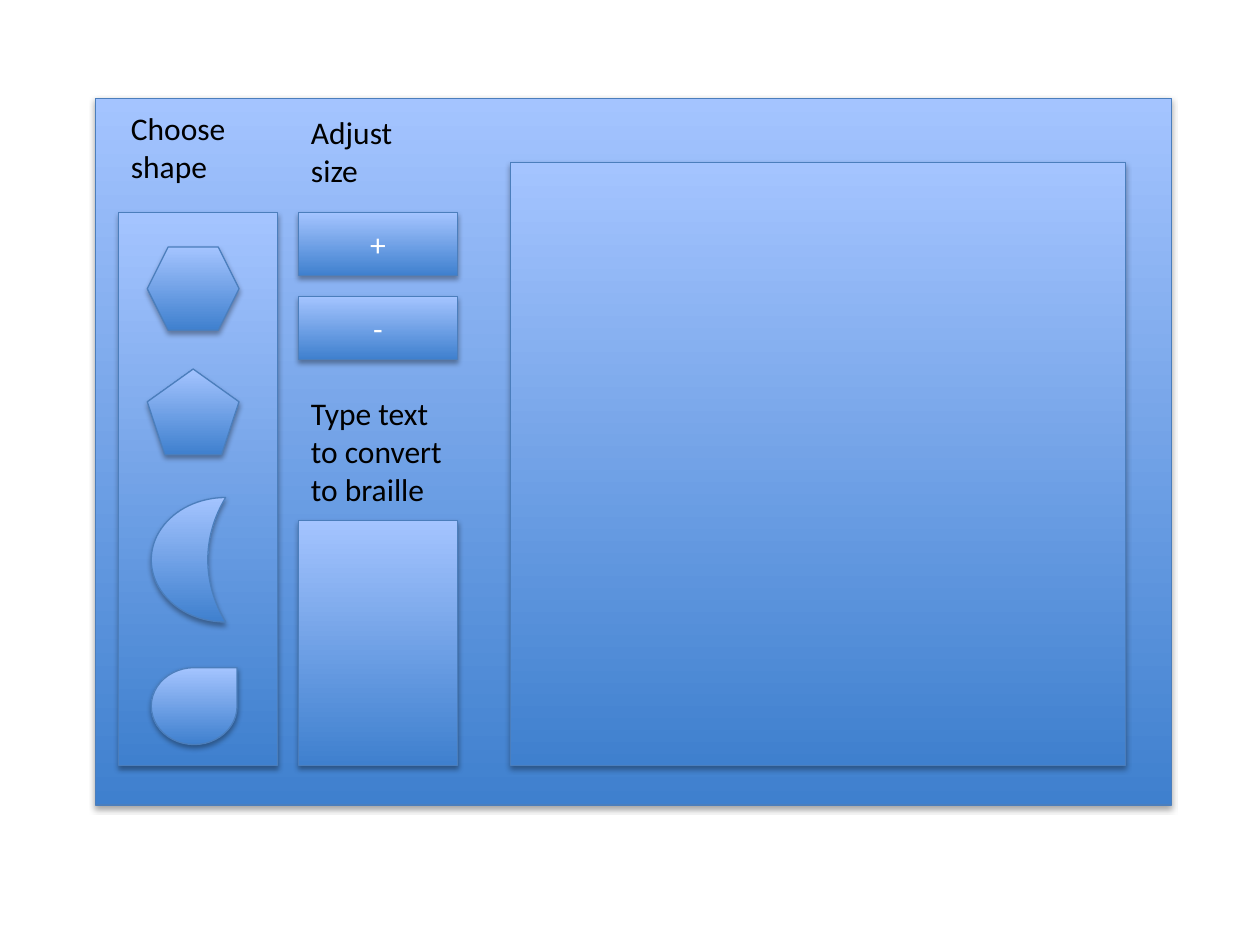
from dataclasses import dataclass

import pptx
import pptx.dml.color
import pptx.enum.shapes
import pptx.enum.text
import pptx.oxml
import pptx.oxml.ns
import pptx.util

Cm, Pt = pptx.util.Cm, pptx.util.Pt
MSO = pptx.enum.shapes.MSO_SHAPE
COLORS = {"bottom": "3F80CE", "top": "A4C4FF", "line": "4B7EBC",
          "shadow": "000000", "label": "000000", "button": "FFFFFF"}

# Shared layout, in centimetres
SHAPES_X, TOOLS_X, COL_W = 2.39, 6.02, 3.2
TOP, BOTTOM = 4.29, 15.43
BUTTON_H, BUTTON_STEP = 1.27, 1.69
FIELD_TOP, CANVAS_TOP = 10.49, 3.28


@dataclass
class Box:
    left: float
    top: float
    width: float
    height: float
    kind: MSO = MSO.RECTANGLE
    text: str = ""
    adjustment: float | None = None


@dataclass
class Label:
    left: float
    top: float
    height: float
    text: str


def rgb(name: str) -> pptx.dml.color.RGBColor:
    return pptx.dml.color.RGBColor.from_string(COLORS[name])


def write(tf, text: str, color: str) -> None:
    tf.word_wrap = True
    p = tf.paragraphs[0]
    p.text = text
    p.font.name = "Calibri"
    p.font.size = Pt(18)
    p.font.color.rgb = rgb(color)


def add_shadow(sp) -> None:
    sp.shadow.inherit = False
    effects = sp._element.spPr.find(pptx.oxml.ns.qn("a:effectLst"))
    effects.append(pptx.oxml.parse_xml(
        f'<a:outerShdw {pptx.oxml.ns.nsdecls("a")} blurRad="{Pt(3.1)}" dist="{Pt(1.8)}" '
        f'dir="5400000" rotWithShape="0"><a:srgbClr val="{COLORS["shadow"]}">'
        '<a:alpha val="35000"/></a:srgbClr></a:outerShdw>'))


def add_box(slide, box: Box) -> None:
    sp = slide.shapes.add_shape(box.kind, Cm(box.left), Cm(box.top),
                                Cm(box.width), Cm(box.height))
    if box.adjustment is not None:
        sp.adjustments[0] = box.adjustment
    sp.fill.gradient()
    sp.fill.gradient_angle = 90
    for stop, name, position in zip(sp.fill.gradient_stops, ("bottom", "top"), (0, 1)):
        stop.color.rgb = rgb(name)
        stop.position = position
    sp.line.color.rgb = rgb("line")
    sp.line.width = Pt(0.75)
    add_shadow(sp)
    if box.text:
        write(sp.text_frame, box.text, "button")
        sp.text_frame.vertical_anchor = pptx.enum.text.MSO_ANCHOR.MIDDLE
        sp.text_frame.paragraphs[0].alignment = pptx.enum.text.PP_ALIGN.CENTER


def add_label(slide, label: Label) -> None:
    sp = slide.shapes.add_textbox(Cm(label.left), Cm(label.top), Cm(COL_W), Cm(label.height))
    write(sp.text_frame, label.text, "label")
    sp.text_frame.auto_size = pptx.enum.text.MSO_AUTO_SIZE.SHAPE_TO_FIT_TEXT


prs = pptx.Presentation()
prs.slide_width, prs.slide_height = Cm(25.4), Cm(19.05)
slide = prs.slides.add_slide(prs.slide_layouts[6])

# Window, shape palette, drawing canvas and text field
panels = [
    Box(1.93, 1.98, 21.69, 14.25),
    Box(SHAPES_X, TOP, COL_W, BOTTOM - TOP),
    Box(10.29, CANVAS_TOP, 12.4, BOTTOM - CANVAS_TOP),
    Box(TOOLS_X, FIELD_TOP, COL_W, BOTTOM - FIELD_TOP),
]

# Size buttons
buttons = [Box(TOOLS_X, TOP + i * BUTTON_STEP, COL_W, BUTTON_H, text=sign)
           for i, sign in enumerate("+-")]

# Shapes to choose from
choices = [
    Box(2.97, 4.98, 1.85, 1.68, MSO.HEXAGON),
    Box(2.97, 7.44, 1.85, 1.73, MSO.REGULAR_PENTAGON),
    Box(3.05, 10.03, 1.5, 2.51, MSO.MOON, adjustment=0.76),
    Box(3.05, 13.46, 1.73, 1.55, MSO.TEAR),
]

for box in panels + buttons + choices:
    add_box(slide, box)

# Captions
for label in (
    Label(SHAPES_X, 2.08, 1.8, "Choose shape"),
    Label(TOOLS_X, 2.16, 1.8, "Adjust size"),
    Label(TOOLS_X, 7.82, 2.57, "Type text to convert to braille"),
):
    add_label(slide, label)

prs.save("out.pptx")
